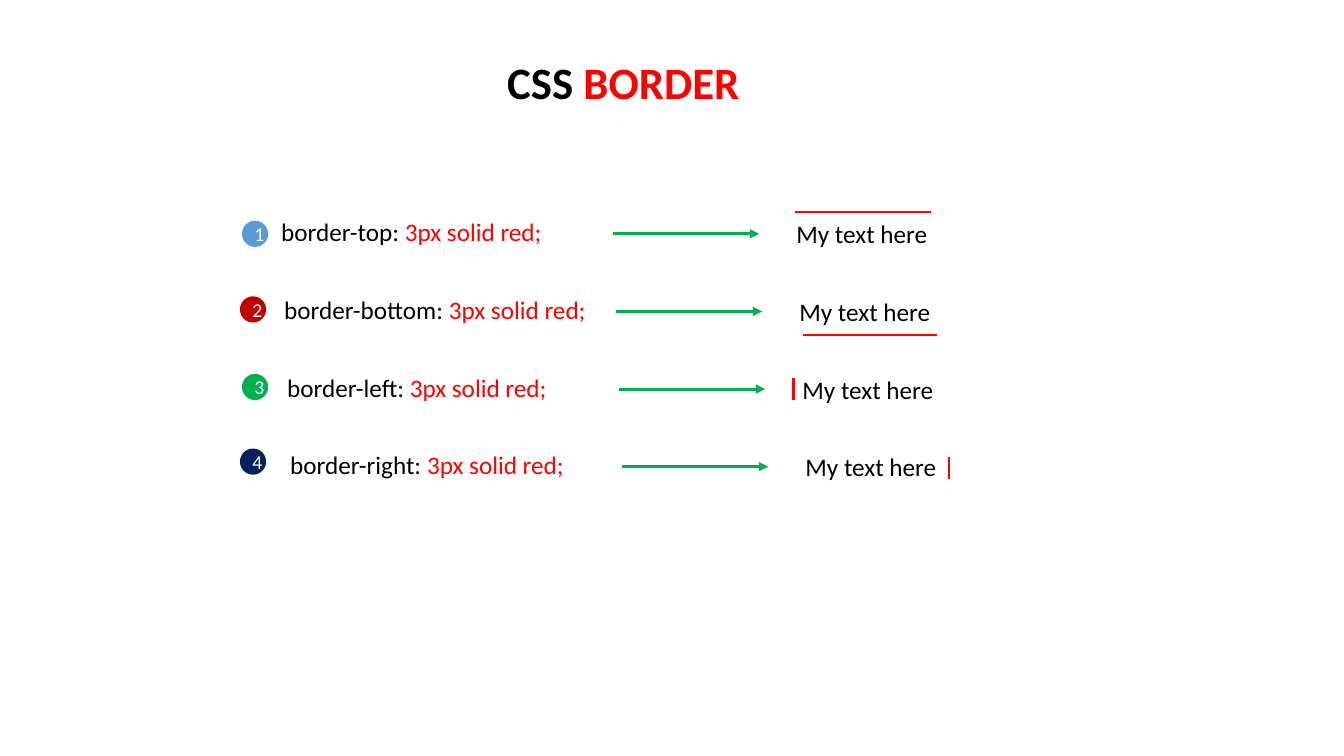
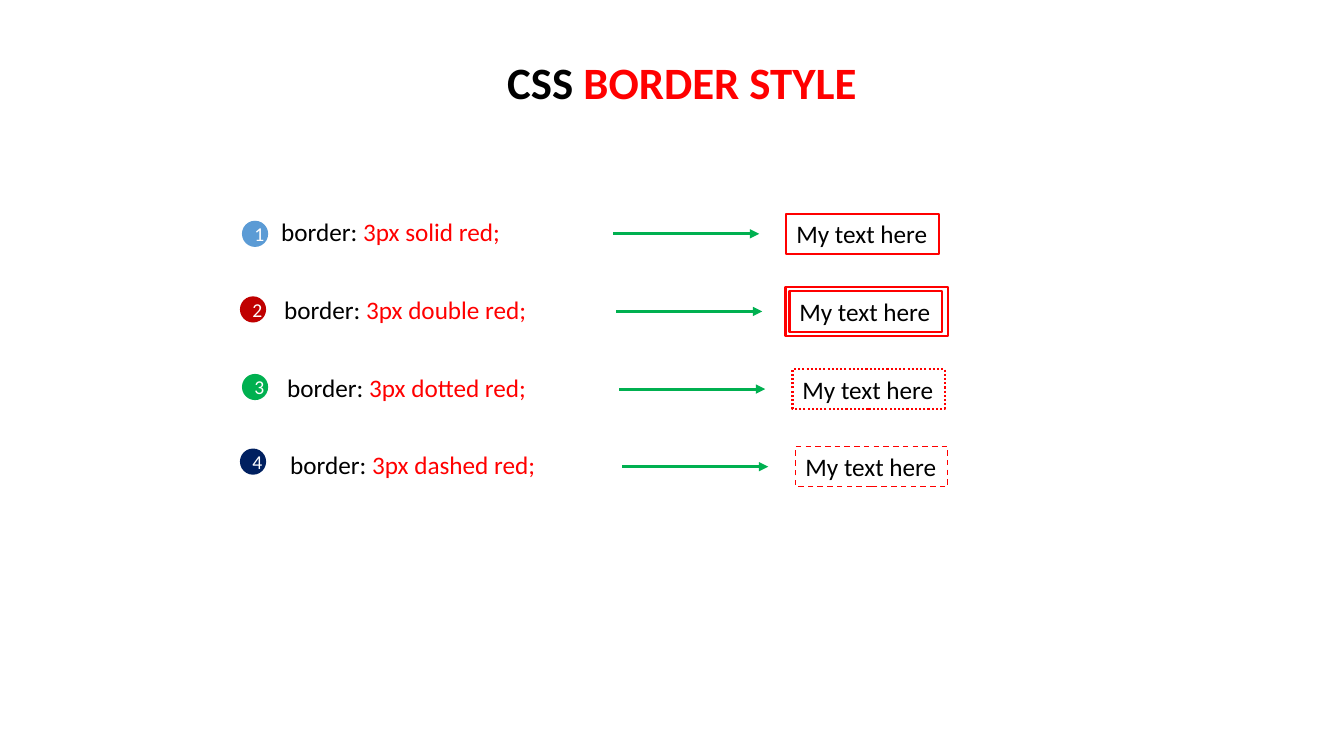
"""Build two slides that show CSS border sides and CSS border styles."""
import pptx
import pptx.dml.color
import pptx.enum.dml
import pptx.enum.shapes
import pptx.enum.text
import pptx.oxml
import pptx.oxml.ns
import pptx.util

Inches = pptx.util.Inches
Pt = pptx.util.Pt
RGBColor = pptx.dml.color.RGBColor
Dash = pptx.enum.dml.MSO_LINE
Shape = pptx.enum.shapes.MSO_SHAPE

FONT = "Calibri"
BLACK = RGBColor(0x00, 0x00, 0x00)
WHITE = RGBColor(0xFF, 0xFF, 0xFF)
RED = RGBColor(0xFF, 0x00, 0x00)
GREEN = RGBColor(0x00, 0xB0, 0x50)
BLUE = RGBColor(0x5B, 0x9B, 0xD5)
DARK_RED = RGBColor(0xC0, 0x00, 0x00)
NAVY = RGBColor(0x00, 0x20, 0x60)

BADGES = [(2.40, 2.19, BLUE), (2.38, 2.94, DARK_RED), (2.40, 3.71, GREEN), (2.38, 4.45, NAVY)]
ROW_STEP = 0.77
ROW_SHIFT = 0.03

SIDES = [("border-top: ", "3px solid red;", 2.83), ("border-bottom: ", "3px solid red;", 3.24),
         ("border-left: ", "3px solid red;", 2.82), ("border-right: ", "3px solid red;", 2.96)]
SIDE_LINES = [(7.89, 2.10, 9.23, 2.10), (7.96, 3.32, 9.29, 3.32),
              (7.87, 3.97, 7.87, 3.75), (9.41, 4.75, 9.41, 4.53)]
STYLES = [("border: ", "3px solid red;", 2.40), ("border: ", "3px double red;", 2.64),
          ("border: ", "3px dotted red;", 2.61), ("border: ", "3px dashed red;", 2.66)]
OUTLINES = [(1.5, None), (1.5, None), (1.5, Dash.ROUND_DOT), (1, Dash.DASH)]


class Painter:
    """Hold the deck, its style and the current page."""

    def __init__(self):
        self.deck = pptx.Presentation()
        self.deck.slide_width = Inches(13.33)
        self.deck.slide_height = Inches(7.5)
        self.page = None

    def fill_text(self, box, spans, size, bold=False):
        """Fill a box with one unwrapped line of coloured spans."""
        frame = box.text_frame
        frame.word_wrap = False
        frame.auto_size = pptx.enum.text.MSO_AUTO_SIZE.SHAPE_TO_FIT_TEXT
        para = frame.paragraphs[0]
        para.alignment = pptx.enum.text.PP_ALIGN.LEFT
        para.font.name = FONT
        para.font.size = Pt(size)
        para.font.bold = bold
        for text, color in spans:
            span = para.add_run()
            span.text = text
            span.font.color.rgb = color

    def start(self, topic, width):
        """Add a page with its two-colour title."""
        self.page = self.deck.slides.add_slide(self.deck.slide_layouts[5])
        title = self.page.shapes.title
        title.left, title.top = Inches(4.93), Inches(0.49)
        title.width, title.height = Inches(width), Inches(0.64)
        self.fill_text(title, [("CSS ", BLACK), (topic, RED)], 32, bold=True)

    def text(self, left, top, width, spans):
        """Add a line of body text and return its box."""
        box = self.page.shapes.add_textbox(Inches(left), Inches(top), Inches(width), Inches(0.4))
        self.fill_text(box, spans, 18)
        return box

    def badge(self, left, top, color, number):
        """Add a numbered disc."""
        disc = self.page.shapes.add_shape(
            Shape.OVAL, Inches(left), Inches(top), Inches(0.26), Inches(0.26))
        disc.shadow.inherit = False
        disc.fill.solid()
        disc.fill.fore_color.rgb = color
        disc.line.fill.background()
        para = disc.text_frame.paragraphs[0]
        para.text = str(number)
        para.alignment = pptx.enum.text.PP_ALIGN.CENTER
        para.font.name = FONT
        para.font.size = Pt(14)
        para.font.color.rgb = WHITE

    def line(self, start_x, start_y, end_x, end_y, color=RED, weight=1.5):
        """Add a straight line and return it."""
        line = self.page.shapes.add_connector(
            pptx.enum.shapes.MSO_CONNECTOR.STRAIGHT,
            Inches(start_x), Inches(start_y), Inches(end_x), Inches(end_y))
        line.line.color.rgb = color
        line.line.width = Pt(weight)
        line._element.spPr.append(pptx.oxml.parse_xml(
            "<a:effectLst %s/>" % pptx.oxml.ns.nsdecls("a")))
        return line

    def arrow(self, left, top):
        """Add a green arrow that points right."""
        arrow = self.line(left, top, left + 1.45, top, GREEN, 2.25)
        stroke = arrow._element.spPr.find(pptx.oxml.ns.qn("a:ln"))
        stroke.append(pptx.oxml.parse_xml(
            '<a:tailEnd %s type="triangle"/>' % pptx.oxml.ns.nsdecls("a")))

    def outline(self, box, weight, dash=None):
        """Draw a red line around a box."""
        box.line.color.rgb = RED
        box.line.width = Pt(weight)
        if dash is not None:
            box.line.dash_style = dash

    def frame(self, left, top, width, height):
        """Add an empty red frame."""
        frame = self.page.shapes.add_shape(
            Shape.RECTANGLE, Inches(left), Inches(top), Inches(width), Inches(height))
        frame.shadow.inherit = False
        frame.fill.background()
        self.outline(frame, 1.5)

    def rows(self, rules):
        """Add a badge, rule, arrow and sample per row and return the samples."""
        samples = []
        for index, (name, value, width) in enumerate(rules):
            shift, drop = index * ROW_SHIFT, index * ROW_STEP
            self.badge(*BADGES[index], index + 1)
            self.text(2.69 + shift, 2.1 + drop, width, [(name, BLACK), (value, RED)])
            self.arrow(6.08 + shift, 2.32 + drop)
            samples.append(self.text(7.8 + shift, 2.12 + drop, 1.51, [("My text here", BLACK)]))
        return samples


def main():
    """Draw both pages and save the deck."""
    painter = Painter()

    painter.start("BORDER", 2.53)
    painter.rows(SIDES)
    for ends in SIDE_LINES:
        painter.line(*ends)

    painter.start("BORDER STYLE", 3.7)
    for sample, (weight, dash) in zip(painter.rows(STYLES), OUTLINES):
        painter.outline(sample, weight, dash)
    painter.frame(7.79, 2.85, 1.61, 0.48)

    painter.deck.save("out.pptx")


if __name__ == "__main__":
    main()
